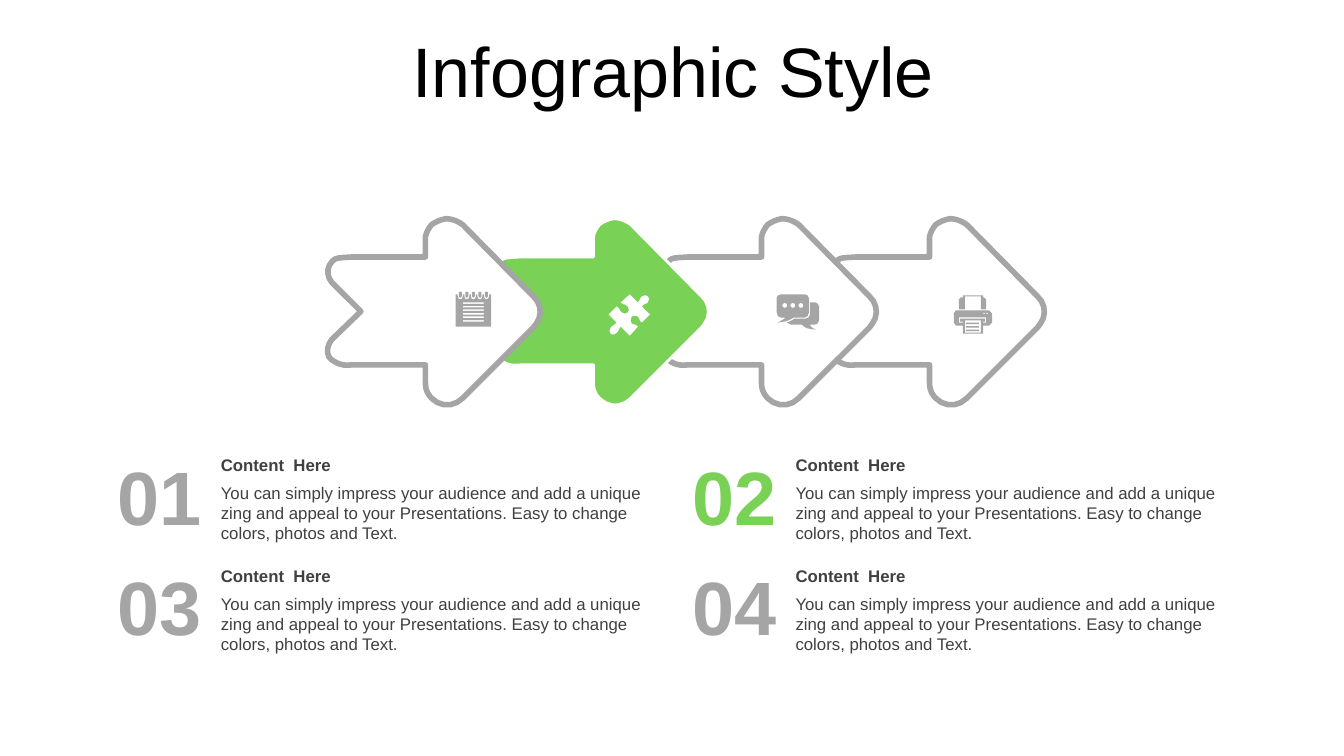
from math import ceil, dist

from pptx import Presentation
from pptx.dml.color import RGBColor as RGB
from pptx.enum.text import MSO_ANCHOR as ANCHOR, MSO_AUTO_SIZE as AUTO, PP_ALIGN as ALIGN
from pptx.util import Inches, Pt

COLORS = {"green": "79D155", "gray": "A5A5A5", "white": "FFFFFF", "text": "404040", "black": "000000"}
BODY = ("You can simply impress your audience and add a unique zing and appeal to your "
        "Presentations. Easy to change colors, photos and Text.")

ARROW = [[
    (1.19, 0), (1.23, 0, 1.28, .01, 1.33, .04), (1.36, .06),
    (2.06, .77), (2.14, .84, 2.15, .96, 2.09, 1.04), (2.06, 1.08), (1.36, 1.78),
    (1.27, 1.87, 1.14, 1.87, 1.05, 1.78), (1.01, 1.74, .99, 1.69, .99, 1.63),
    (.99, 1.45), (.26, 1.45), (.19, 1.46, .13, 1.45, .06, 1.4),
    (0, 1.36, .01, 1.26, .06, 1.2), (.35, .92), (.06, .63),
    (.01, .57, .01, .48, .06, .43), (.1, .39, .09, .39, .26, .38), (.99, .38), (.99, .18),
    (1, .13, 1.02, .1, 1.05, .06), (1.09, .03, 1.14, .01, 1.19, 0)]]

PUZZLE = [[
    (.38, .02), (.39, .03, .4, .06, .38, .08), (.36, .1, .34, .09, .32, .12), (.4, .2),
    (.32, .28), (.29, .26, .3, .24, .28, .22), (.26, .21, .23, .21, .22, .22),
    (.21, .24, .2, .27, .22, .29), (.25, .31, .26, .29, .28, .32), (.2, .41), (.11, .32),
    (.08, .35, .1, .36, .07, .38), (.05, .41, .02, .4, .01, .39),
    (0, .37, -.01, .35, .01, .33), (.03, .3, .05, .31, .07, .28), (-.01, .2), (.07, .12),
    (.11, .14, .09, .16, .12, .18), (.14, .2, .16, .19, .18, .18),
    (.19, .17, .2, .14, .18, .12), (.15, .09, .14, .11, .11, .08), (.2, 0), (.28, .08),
    (.31, .05, .29, .05, .32, .02), (.34, 0, .37, .01, .38, .02)]]


def rect(left, top, right, bottom):
    return [(left, top), (right, top), (right, bottom), (left, bottom)]


def circle(x, y, r):
    k = .55 * r
    return [(x, y - r), (x + k, y - r, x + r, y - k, x + r, y),
            (x + r, y + k, x + k, y + r, x, y + r), (x - k, y + r, x - r, y + k, x - r, y),
            (x - r, y - k, x - k, y - r, x, y - r)]


def notepad():
    rules = [rect(.07, .11 + .035 * i, .28, .125 + .035 * i) for i in range(6)]
    sheet, rings = [(0, .03)], []
    for i in range(5):
        x = .02 + .065 * i
        sheet += [(x, .03), (x, .05), (x, .09, x + .05, .09, x + .05, .05), (x + .05, .03)]
        rings.append([(x + .01, .01), (x + .01, 0, x + .04, 0, x + .04, .01), (x + .04, .05),
                      (x + .04, .07, x + .01, .07, x + .01, .05)])
    return [sheet + [(.35, .03), (.35, .35), (0, .35)]] + rules + rings


def chat():
    back = [(.33, .08), (.38, .08), (.4, .08, .42, .1, .42, .12), (.42, .26),
            (.42, .28, .4, .3, .38, .3), (.33, .3), (.34, .32, .34, .33, .39, .35),
            (.3, .34, .29, .34, .25, .3), (.14, .3), (.1, .28),
            (.13, .27, .15, .26, .18, .24), (.29, .24), (.31, .24, .33, .22, .33, .2)]
    front = [(.04, 0), (.28, 0), (.3, 0, .32, .02, .32, .04), (.32, .18),
             (.32, .21, .3, .23, .28, .23), (.17, .23), (.12, .26, .1, .27, .01, .28),
             (.06, .25, .07, .25, .09, .23), (.04, .23), (.02, .23, 0, .21, 0, .18),
             (0, .04), (0, .02, .02, 0, .04, 0)]
    return [back, front] + [circle(.08 * i, .11, .025) for i in (1, 2, 3)]


def printer():
    body = [(.02, .15), (.35, .15), (.38, .18), (.38, .27), (.35, .3), (.29, .3), (.29, .38),
            (.09, .38), (.09, .3), (.02, .3), (0, .27), (0, .18)]
    slot = [(.05, .22), (.05, .27), (.09, .27), (.09, .26), (.06, .26), (.06, .23),
            (.31, .23), (.31, .26), (.29, .26), (.29, .27), (.32, .27), (.32, .22)]
    feed = [(.09, 0), (.29, 0), (.29, .02), (.3, .02), (.32, .04), (.32, .14), (.27, .14),
            (.27, .01), (.11, .01), (.11, .14), (.05, .14), (.05, .04), (.07, .02), (.09, .02)]
    lines = [rect(.12, .27 + .035 * i, .25, .285 + .035 * i) for i in range(3)]
    buttons = [circle(x, .18, .01) for x in (.3, .33)]
    return [body, slot, feed, rect(.11, .25, .27, .37)] + lines + buttons


def flatten(contour):
    points = [contour[0]]
    for seg in contour[1:]:
        if len(seg) == 2:
            points.append(seg)
            continue
        nodes = [points[-1], seg[:2], seg[2:4], seg[4:]]
        steps = min(5, ceil(25 * sum(map(dist, nodes, nodes[1:]))))
        for i in range(1, steps + 1):
            t = i / steps
            weights = ((1 - t) ** 3, 3 * t * (1 - t) ** 2, 3 * t * t * (1 - t), t ** 3)
            points.append(tuple(sum(w * n[a] for w, n in zip(weights, nodes)) for a in (0, 1)))
    return points


def add_outline(s, contours, left, top, fill, line=None, width=0):
    builder = None
    for contour in contours:
        points = [(Inches(left + x), Inches(top + y)) for x, y in flatten(contour)]
        if builder is None:
            builder = s.shapes.build_freeform(*points[0])
        else:
            builder.move_to(*points[0])
        builder.add_line_segments(points[1:], close=True)
    sp = builder.convert_to_shape()
    sp.shadow.inherit = False
    sp.fill.solid()
    sp.fill.fore_color.rgb = RGB.from_string(COLORS[fill])
    if line:
        sp.line.color.rgb = RGB.from_string(COLORS[line])
        sp.line.width = Pt(width)
    else:
        sp.line.fill.background()


def write(sp, text, size, color, bold=False, align=ALIGN.LEFT, anchor=ANCHOR.MIDDLE,
          margins=(0, .05, .1, .05), auto=AUTO.SHAPE_TO_FIT_TEXT):
    tf = sp.text_frame
    frame = dict(zip(("margin_left", "margin_top", "margin_right", "margin_bottom"),
                     map(Inches, margins)))
    frame.update(word_wrap=True, vertical_anchor=anchor, auto_size=auto)
    for name, value in frame.items():
        setattr(tf, name, value)
    p = tf.paragraphs[0]
    p.alignment = align
    r = p.add_run()
    r.text = text
    for name, value in {"name": "Arial", "size": Pt(size), "bold": bold}.items():
        setattr(r.font, name, value)
    r.font.color.rgb = RGB.from_string(COLORS[color])
    return p


def add_title(s, left, top, width, height):
    sp = s.shapes.title
    for name, value in {"left": left, "top": top, "width": width, "height": height}.items():
        setattr(sp, name, Inches(value))
    p = write(sp, "Infographic Style", 50, "black", align=ALIGN.CENTER,
              margins=(.1, .1, .1, .05), auto=AUTO.NONE)
    p.line_spacing = .7


def add_arrows(s, left, top, span):
    icons = [(notepad(), 1.29, .72), (PUZZLE, 1.15, .75), (chat(), 1.14, .75), (printer(), 1.23, .76)]
    for i in reversed(range(len(icons))):
        x = left + span * i / (len(icons) - 1)
        style = ("green", "white", 2) if i == 1 else ("white", "gray", 4)
        add_outline(s, ARROW, x, top, *style)
        icon, dx, dy = icons[i]
        add_outline(s, icon, x + dx, top + dy, "white" if i == 1 else "gray")


def add_item(s, number, color, left, top):
    def box(dx, dy, width, height):
        return s.shapes.add_textbox(*map(Inches, (left + dx, top + dy, width, height)))

    write(box(1.13, 0, 4.45, .3), "Content  Here", 12, "text", bold=True)
    write(box(1.13, .28, 4.45, .7), BODY, 12, "text", anchor=ANCHOR.TOP)
    write(box(0, 0, .94, .9), number, 54, color, bold=True, align=ALIGN.RIGHT, margins=(0, 0, 0, 0))


def add_items(s, left, top, col_step, row_step):
    for i in range(4):
        row, col = divmod(i, 2)
        add_item(s, f"{i + 1:02}", "green" if i == 1 else "gray",
                 left + col * col_step, top + row * row_step)


def main():
    prs = Presentation()
    prs.slide_width, prs.slide_height = Inches(13.33), Inches(7.5)
    s = prs.slides.add_slide(prs.slide_layouts[5])
    add_title(s, .35, .37, 12.66, .79)
    add_arrows(s, 3.23, 2.17, 5)
    add_items(s, 1.06, 4.46, 5.7, 1.1)
    prs.save("out.pptx")


if __name__ == "__main__":
    main()
